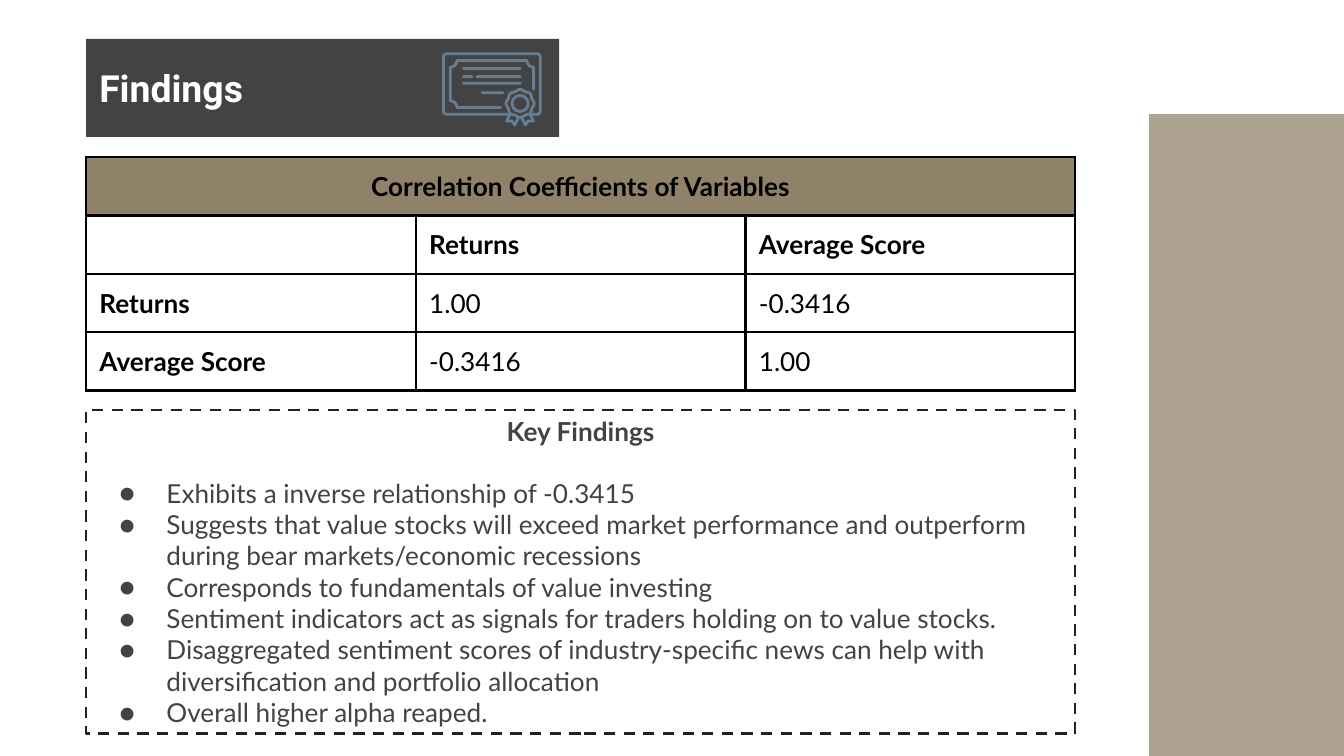
"""Build the Findings slide with its correlation table and key findings."""
import math

import lxml.etree
import pptx
import pptx.dml.color
import pptx.enum.dml
import pptx.enum.shapes
import pptx.enum.text
import pptx.oxml
import pptx.oxml.ns
import pptx.util

Inches = pptx.util.Inches
Pt = pptx.util.Pt
RGBColor = pptx.dml.color.RGBColor
qn = pptx.oxml.ns.qn
MSO_SHAPE = pptx.enum.shapes.MSO_SHAPE
PP_ALIGN = pptx.enum.text.PP_ALIGN
MSO_ANCHOR = pptx.enum.text.MSO_ANCHOR

COLORS = {
    "text": "434343",
    "border": "212121",
    "tan": "908269",
    "icon": "657E93",
    "black": "000000",
    "white": "FFFFFF",
}


def style_shape(shape, fill=None, line=None, width=1.5):
    shape.shadow.inherit = False
    if fill:
        shape.fill.solid()
        shape.fill.fore_color.rgb = RGBColor.from_string(COLORS[fill])
    else:
        shape.fill.background()
    if line:
        shape.line.color.rgb = RGBColor.from_string(COLORS[line])
        shape.line.width = Pt(width)
    else:
        shape.line.fill.background()


def style_font(paragraph, name, size, color, bold):
    paragraph.font.name = name
    paragraph.font.size = Pt(size)
    paragraph.font.bold = bold
    paragraph.font.color.rgb = RGBColor.from_string(COLORS[color])


presentation = pptx.Presentation()
presentation.slide_width = Inches(10)
presentation.slide_height = Inches(10) * 9 // 16
slide = presentation.slides.add_slide(presentation.slide_layouts[6])
shapes = slide.shapes
left, width = 0.64, 7.36

findings_box = shapes.add_shape(
    MSO_SHAPE.RECTANGLE, Inches(left), Inches(3.05), Inches(width), Inches(2.41))
style_shape(findings_box, line="border")
findings_box.line.dash_style = pptx.enum.dml.MSO_LINE.DASH
side_panel = shapes.add_shape(
    MSO_SHAPE.RECTANGLE, Inches(8.55), Inches(0.85), Inches(1.45), Inches(4.78))
style_shape(side_panel, fill="tan")
panel_color = side_panel.fill._xPr.find(qn("a:solidFill"))[0]
lxml.etree.SubElement(panel_color, qn("a:alpha"), val="73000")
title_bar = shapes.add_shape(
    MSO_SHAPE.RECTANGLE, Inches(left), Inches(0.29), Inches(3.52), Inches(0.73))
style_shape(title_bar, fill="text")
title = shapes.add_textbox(Inches(left), Inches(0.37), Inches(3.52), Inches(0.55))

for shape, anchor in ((findings_box, MSO_ANCHOR.MIDDLE), (title, MSO_ANCHOR.BOTTOM)):
    frame = shape.text_frame
    frame.word_wrap = True
    frame.vertical_anchor = anchor
    frame.margin_left = frame.margin_right = Inches(0.1)
    frame.margin_top = frame.margin_bottom = Inches(0.1)

title.text_frame.text = "Findings"
style_font(title.text_frame.paragraphs[0], "Roboto", 20, "white", True)

findings = [
    "Exhibits a inverse relationship of -0.3415",
    "Suggests that value stocks will exceed market performance and outperform "
    "during bear markets/economic recessions",
    "Corresponds to fundamentals of value investing",
    "Sentiment indicators act as signals for traders holding on to value stocks.",
    "Disaggregated sentiment scores of industry-specific news can help with "
    "diversification and portfolio allocation",
    "Overall higher alpha reaped.",
]
heading = findings_box.text_frame.paragraphs[0]
heading.text = "Key Findings"
heading.alignment = PP_ALIGN.CENTER
style_font(heading, "Lato", 14, "text", True)
for index, finding in enumerate(findings):
    paragraph = findings_box.text_frame.add_paragraph()
    paragraph.text = finding
    paragraph.alignment = PP_ALIGN.LEFT
    paragraph.space_before = Pt(0 if index else 16)
    properties = paragraph._p.get_or_add_pPr()
    properties.set("marL", str(Inches(0.5)))
    properties.set("indent", str(Inches(-0.35)))
    bullet_color = lxml.etree.SubElement(properties, qn("a:buClr"))
    lxml.etree.SubElement(bullet_color, qn("a:srgbClr"), val=COLORS["text"])
    lxml.etree.SubElement(properties, qn("a:buSzPts"), val="1400")
    lxml.etree.SubElement(properties, qn("a:buFont"), typeface="Lato")
    lxml.etree.SubElement(properties, qn("a:buChar"), char="●")
    style_font(paragraph, "Lato", 14, "text", False)

certificate = shapes.add_shape(
    MSO_SHAPE.ROUNDED_RECTANGLE, Inches(3.3), Inches(0.4), Inches(0.72), Inches(0.45))
certificate.adjustments[0] = 0.05
style_shape(certificate, line="icon")
for bar_left, bar_top, bar_width in (
        (3.44, 0.5, 0.44), (3.44, 0.56, 0.08), (3.54, 0.56, 0.34),
        (3.44, 0.61, 0.44), (3.58, 0.68, 0.17)):
    bar = shapes.add_shape(
        MSO_SHAPE.ROUNDED_RECTANGLE,
        Inches(bar_left), Inches(bar_top), Inches(bar_width), Inches(0.02))
    bar.adjustments[0] = 0.5
    style_shape(bar, fill="icon")

inner_frame = [(3.73, 0.8)]
for center_x, center_y, start in ((3.35, 0.8, 0), (3.35, 0.45, 90), (3.97, 0.45, 180)):
    for step in range(7):
        angle = math.radians(start - 15 * step)
        inner_frame.append(
            (center_x + 0.05 * math.cos(angle), center_y + 0.05 * math.sin(angle)))
inner_frame.append((3.97, 0.67))

seal_x, seal_y = 3.87, 0.77
ribbon = [(-0.07, 0.07), (-0.1, 0.13), (-0.06, 0.13), (-0.04, 0.16), (0, 0.08)]
ribbons = [[(seal_x + side * x, seal_y + y) for x, y in ribbon] for side in (1, -1)]
rosette = []
for degree in range(0, 360, 5):
    angle = math.radians(degree)
    radius = 0.1 + 0.005 * math.cos(8 * angle)
    rosette.append(
        (seal_x + radius * math.cos(angle), seal_y + radius * math.sin(angle)))

for points, closed in (
        (inner_frame, False), (ribbons[0], True), (ribbons[1], True), (rosette, True)):
    corners = [(Inches(x), Inches(y)) for x, y in points]
    builder = shapes.build_freeform(*corners[0])
    builder.add_line_segments(corners[1:], close=closed)
    style_shape(builder.convert_to_shape(), fill="text" if closed else None, line="icon")
seal_ring = shapes.add_shape(
    MSO_SHAPE.OVAL, Inches(seal_x - 0.06), Inches(seal_y - 0.06), Inches(0.12), Inches(0.12))
style_shape(seal_ring, line="icon")

rows = [
    ["Correlation Coefficients of Variables", "", ""],
    ["", "Returns", "Average Score"],
    ["Returns", "1.00", "-0.3416"],
    ["Average Score", "-0.3416", "1.00"],
]
row_height = 0.43
table = shapes.add_table(
    len(rows), 3, Inches(left), Inches(1.17), Inches(width), Inches(row_height * len(rows))).table
table.first_row = table.horz_banding = False
for row in table.rows:
    row.height = Inches(row_height)
for row_index, texts in enumerate(rows):
    for column_index, text in enumerate(texts):
        cell = table.cell(row_index, column_index)
        cell.margin_left = cell.margin_right = Inches(0.1)
        cell.margin_top = cell.margin_bottom = Inches(0.1 if text else 0.05)
        cell.text = text
        paragraph = cell.text_frame.paragraphs[0]
        style_font(paragraph, "Lato", 14, "black", row_index < 2 or column_index == 0)
        cell_properties = cell._tc.get_or_add_tcPr()
        for edge in ("lnL", "lnR", "lnT", "lnB"):
            line = lxml.etree.SubElement(
                cell_properties, qn(f"a:{edge}"), w=str(Pt(1.5)))
            line_fill = lxml.etree.SubElement(line, qn("a:solidFill"))
            lxml.etree.SubElement(line_fill, qn("a:srgbClr"), val=COLORS["black"])
        if row_index == 0:
            paragraph.alignment = PP_ALIGN.CENTER
            cell.fill.solid()
            cell.fill.fore_color.rgb = RGBColor.from_string(COLORS["tan"])
        else:
            cell.fill.background()
table.cell(0, 0).merge(table.cell(0, 2))

presentation.save("out.pptx")
